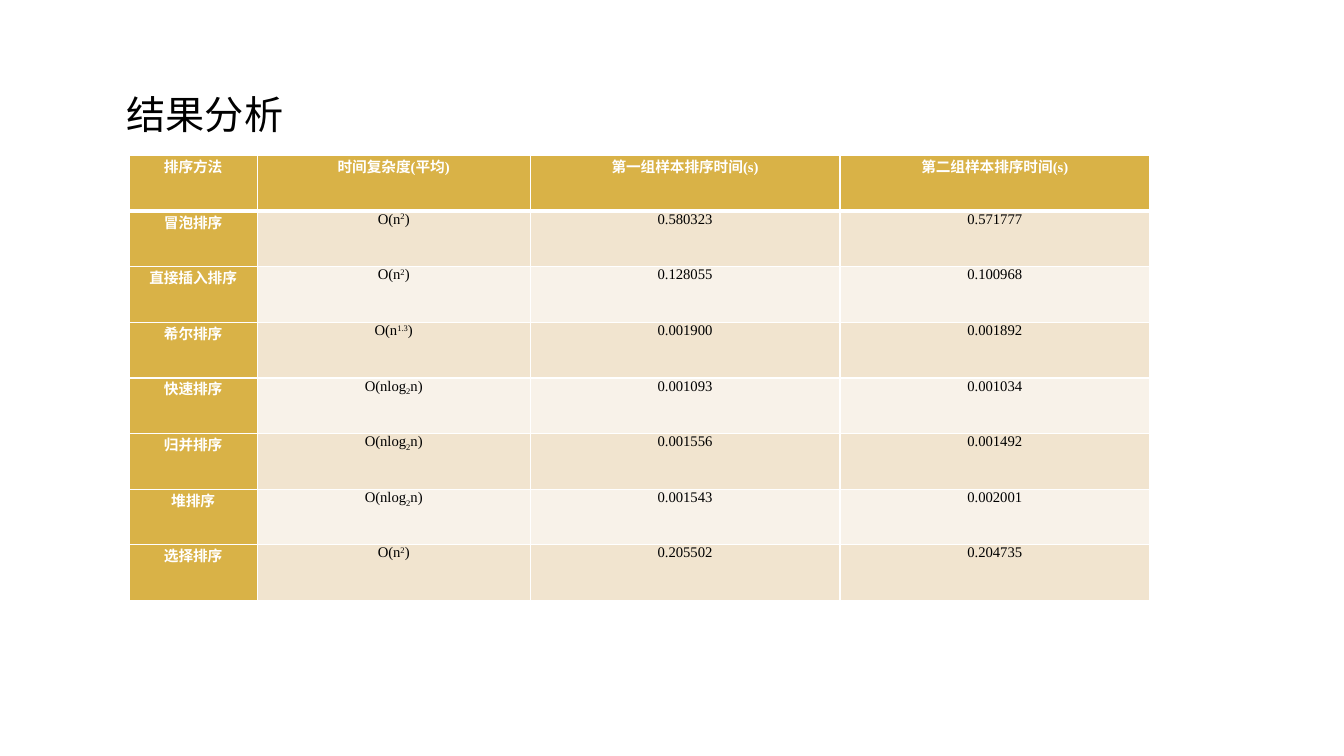
from dataclasses import dataclass

from lxml.etree import SubElement
from pptx import Presentation
from pptx.dml.color import RGBColor
from pptx.enum.text import MSO_ANCHOR as Anchor, MSO_AUTO_SIZE as AutoSize, PP_ALIGN as Align
from pptx.oxml.ns import qn
from pptx.util import Emu, Pt


@dataclass(frozen=True)
class Theme:
    font: str = "Times New Roman"
    title_size: float = 28
    table_size: float = 10.5
    ink: str = "000000"
    white: str = "FFFFFF"
    gold: str = "D9B247"
    bands: tuple = ("F1E4CF", "F8F2E9")
    thin_line: int = 1
    thick_line: int = 3


THEME = Theme()
EMU_PER_PX = 9525
COLUMN_WIDTHS = (122, 260, 295, 295)
ROW_HEIGHT = 53
CELL_INSET = 7

SQUARE = (("O(n", 0), ("2", 30), (")", 0))
POWER = (("O(n", 0), ("1.3", 30), (")", 0))
LOGARITHM = (("O(nlog", 0), ("2", -25), ("n)", 0))

HEADERS = ("排序方法", "时间复杂度(平均)", "第一组样本排序时间(s)", "第二组样本排序时间(s)")
RESULTS = (
    ("冒泡排序", SQUARE, "0.580323", "0.571777"),
    ("直接插入排序", SQUARE, "0.128055", "0.100968"),
    ("希尔排序", POWER, "0.001900", "0.001892"),
    ("快速排序", LOGARITHM, "0.001093", "0.001034"),
    ("归并排序", LOGARITHM, "0.001556", "0.001492"),
    ("堆排序", LOGARITHM, "0.001543", "0.002001"),
    ("选择排序", SQUARE, "0.205502", "0.204735"),
)


def px(length):
    return Emu(length * EMU_PER_PX)


def write_text(frame, content, *, size, color=THEME.ink, bold=False, align=Align.LEFT):
    para = frame.paragraphs[0]
    para.alignment = align
    spans = ((content, 0),) if isinstance(content, str) else content
    for text, baseline in spans:
        span = para.add_run()
        span.text = text
        span.font.name = THEME.font
        span.font.size = Pt(size)
        span.font.bold = bold
        span.font.color.rgb = RGBColor.from_string(color)
        if baseline:
            span._r.get_or_add_rPr().set("baseline", str(baseline * 1000))


def add_title(page, text):
    title = page.shapes.title
    title.left, title.top, title.width, title.height = map(px, (111, 81, 998, 55))
    frame = title.text_frame
    frame.word_wrap = True
    frame.auto_size = AutoSize.SHAPE_TO_FIT_TEXT
    frame.vertical_anchor = Anchor.MIDDLE
    write_text(frame, text, size=THEME.title_size)


def set_borders(cell, **widths):
    properties = cell._tc.get_or_add_tcPr()
    for side in "LRTB":
        width = widths.get(side, THEME.thin_line)
        line = SubElement(properties, qn(f"a:ln{side}"), w=str(Pt(width)))
        fill = SubElement(line, qn("a:solidFill"))
        SubElement(fill, qn("a:srgbClr"), val=THEME.white)


def format_cell(cell, content, row, column):
    heading = row == 0 or column == 0
    cell.margin_left = cell.margin_right = px(CELL_INSET)
    cell.margin_top = cell.margin_bottom = 0
    cell.vertical_anchor = Anchor.TOP
    set_borders(
        cell,
        T=THEME.thick_line if row == 1 else THEME.thin_line,
        B=THEME.thick_line if row == 0 else THEME.thin_line,
    )
    cell.fill.solid()
    color = THEME.gold if heading else THEME.bands[(row - 1) % 2]
    cell.fill.fore_color.rgb = RGBColor.from_string(color)
    write_text(
        cell.text_frame,
        content,
        size=THEME.table_size,
        color=THEME.white if heading else THEME.ink,
        bold=heading,
        align=Align.CENTER,
    )


def add_results_table(page, rows):
    box = page.shapes.add_table(
        len(rows), len(COLUMN_WIDTHS), px(123), px(148),
        px(sum(COLUMN_WIDTHS)), px(ROW_HEIGHT * len(rows)),
    )
    table = box.table
    table.first_col = True
    for column, width in zip(table.columns, COLUMN_WIDTHS):
        column.width = px(width)
    for row, values in enumerate(rows):
        table.rows[row].height = px(ROW_HEIGHT)
        for column, content in enumerate(values):
            format_cell(table.cell(row, column), content, row, column)


def main():
    deck = Presentation()
    deck.slide_width, deck.slide_height = px(1280), px(720)
    page = deck.slides.add_slide(deck.slide_layouts.get_by_name("Title Only"))
    add_title(page, "结果分析")
    add_results_table(page, (HEADERS, *RESULTS))
    deck.save("out.pptx")


if __name__ == "__main__":
    main()
